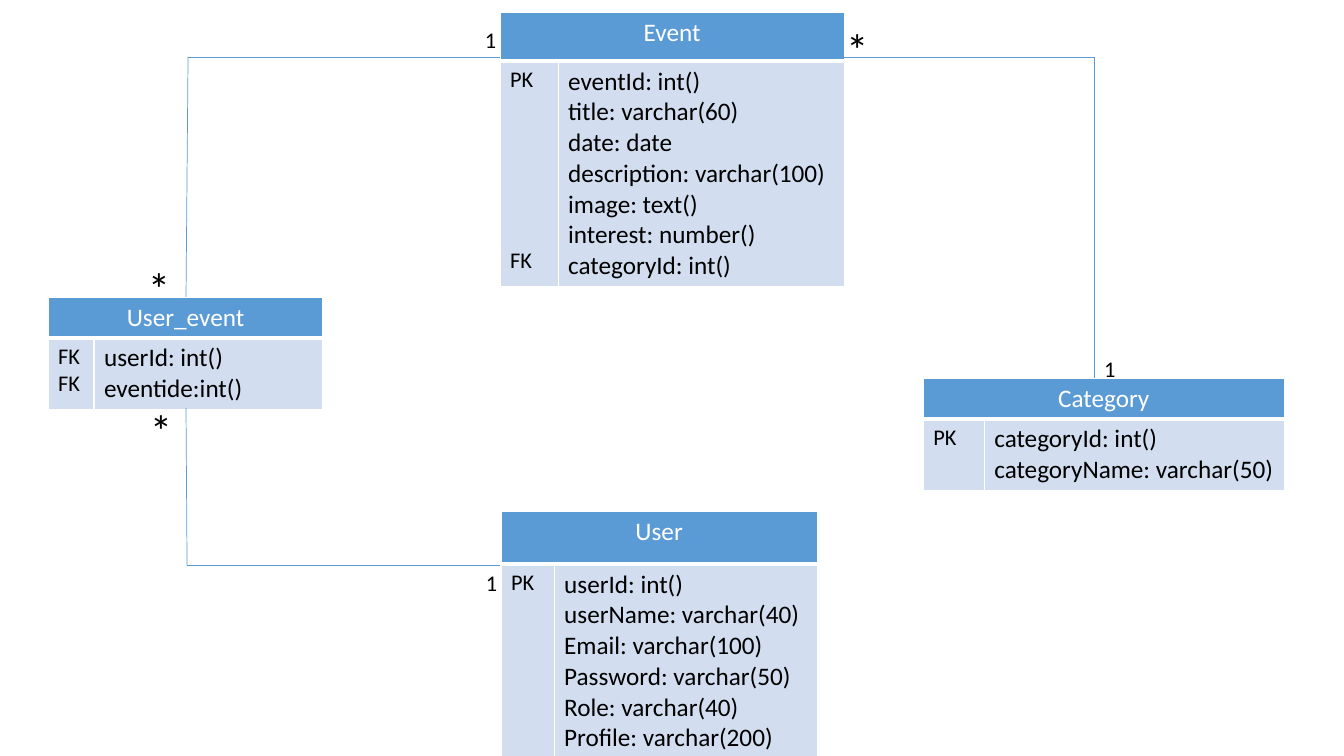
import dataclasses

import pptx
import pptx.dml.color
import pptx.enum.shapes
import pptx.enum.text
import pptx.oxml
import pptx.oxml.ns
import pptx.util


@dataclasses.dataclass(frozen=True)
class Theme:
    font: str = "Calibri"
    header: str = "5B9BD5"
    body: str = "D2DEEF"
    white: str = "FFFFFF"
    black: str = "000000"
    field_size: int = 18
    key_size: int = 16
    many_size: int = 32
    line_width: float = 0.5
    border_width: int = 1
    header_border_width: int = 3
    skipped_line: int = 22


class Diagram:
    scale = 914400 / 100.8

    def __init__(self, slide, theme):
        self.slide = slide
        self.theme = theme

    def lengths(self, *pixels):
        return [pptx.util.Emu(round(pixel * self.scale)) for pixel in pixels]

    def color(self, value):
        return pptx.dml.color.RGBColor.from_string(value)

    def style(self, paragraph, size, color):
        paragraph.font.name = self.theme.font
        paragraph.font.size = pptx.util.Pt(size)
        paragraph.font.bold = False
        paragraph.font.color.rgb = self.color(color)

    def cell(self, cell, lines, size, color, fill, top_border, bottom_border):
        properties = cell._tc.get_or_add_tcPr()
        widths = {"L": self.theme.border_width, "R": self.theme.border_width,
                  "T": top_border, "B": bottom_border}
        for side, width in widths.items():
            properties.append(pptx.oxml.parse_xml(
                f'<a:ln{side} {pptx.oxml.ns.nsdecls("a")} w="{pptx.util.Pt(width)}">'
                f'<a:solidFill><a:srgbClr val="{self.theme.white}"/></a:solidFill>'
                f'</a:ln{side}>'))
        cell.fill.solid()
        cell.fill.fore_color.rgb = self.color(fill)
        cell.text = "\n".join(lines)
        for paragraph in cell.text_frame.paragraphs:
            self.style(paragraph, size, color)

    def entity(self, name, left, top, widths, heights, keys, fields):
        theme = self.theme
        frame = self.slide.shapes.add_table(
            2, 2, *self.lengths(left, top, sum(widths), sum(heights)))
        table = frame.table
        for column, width in zip(table.columns, self.lengths(*widths)):
            column.width = width
        for row, height in zip(table.rows, self.lengths(*heights)):
            row.height = height
        for column, lines in enumerate(([name], [])):
            self.cell(table.cell(0, column), lines, theme.field_size, theme.white,
                      theme.header, theme.border_width, theme.header_border_width)
        table.cell(0, 0).merge(table.cell(0, 1))
        title = table.cell(0, 0).text_frame.paragraphs[0]
        title.alignment = pptx.enum.text.PP_ALIGN.CENTER
        columns = ((keys.values(), theme.key_size), (fields, theme.field_size))
        for column, (lines, size) in enumerate(columns):
            self.cell(table.cell(1, column), lines, size, theme.black,
                      theme.body, theme.header_border_width, theme.border_width)
        previous = -1
        for line, paragraph in zip(keys, table.cell(1, 0).text_frame.paragraphs):
            skipped = line - previous - 1
            if skipped:
                paragraph.space_before = pptx.util.Pt(skipped * theme.skipped_line)
            previous = line

    def relation(self, *points):
        for start, end in zip(points, points[1:]):
            connector = self.slide.shapes.add_connector(
                pptx.enum.shapes.MSO_CONNECTOR.STRAIGHT, *self.lengths(*start, *end))
            connector.line.color.rgb = self.color(self.theme.header)
            connector.line.width = pptx.util.Pt(self.theme.line_width)
            connector._element.spPr.append(pptx.oxml.parse_xml(
                f'<a:effectLst {pptx.oxml.ns.nsdecls("a")}/>'))

    def multiplicity(self, text, left, top):
        many = text == "*"
        box = self.slide.shapes.add_textbox(
            *self.lengths(left, top, 50, 65 if many else 37))
        box.text_frame.word_wrap = True
        box.text_frame.text = text
        size = self.theme.many_size if many else self.theme.key_size
        self.style(box.text_frame.paragraphs[0], size, self.theme.black)


presentation = pptx.Presentation()
presentation.slide_width, presentation.slide_height = (
    pptx.util.Inches(13.33), pptx.util.Inches(7.5))
slide = presentation.slides.add_slide(presentation.slide_layouts[6])
diagram = Diagram(slide, Theme())

diagram.entity("User", 501, 511, (53, 263), (53, 178), {0: "PK"}, [
    "userId: int()", "userName: varchar(40)", "Email: varchar(100)",
    "Password: varchar(50)", "Role: varchar(40)", "Profile: varchar(200)"])
diagram.entity("Event", 500, 12, (58, 286), (49, 225), {0: "PK", 6: "FK"}, [
    "eventId: int()", "title: varchar(60)", "date: date",
    "description: varchar(100)", "image: text()", "interest: number()",
    "categoryId: int()"])
diagram.entity("Category", 923, 378, (61, 300), (40, 72), {0: "PK"}, [
    "categoryId: int()", "categoryName: varchar(50)"])
diagram.entity("User_event", 48, 297, (46, 229), (40, 72), {0: "FK", 1: "FK"}, [
    "userId: int()", "eventide:int()"])

diagram.relation((186, 297), (188, 57), (500, 57))
diagram.relation((186, 408), (187, 565), (500, 565))
diagram.relation((844, 57), (1094, 57), (1094, 378))

for text, left, top in (("*", 140, 398), ("*", 138, 256), ("1", 476, 564),
                        ("1", 475, 21), ("1", 1094, 350), ("*", 836, 17)):
    diagram.multiplicity(text, left, top)

presentation.save("out.pptx")
